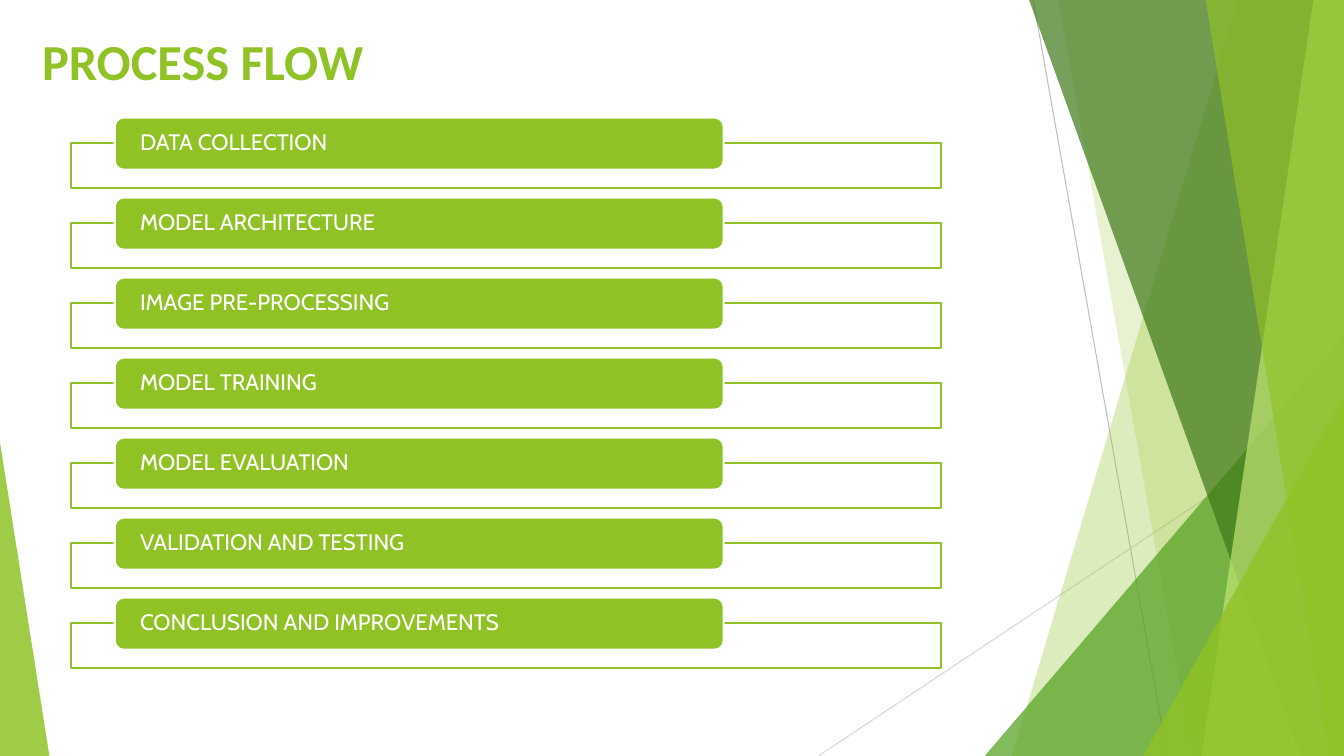
import pptx
import pptx.util
import pptx.dml.color
import pptx.enum.shapes
import pptx.enum.text
import pptx.oxml
import pptx.oxml.ns
from lxml import etree

Pt = pptx.util.Pt
Shape = pptx.enum.shapes.MSO_SHAPE
Anchor = pptx.enum.text.MSO_ANCHOR

THEME = {
    "lime": "90C226",
    "green": "54A021",
    "forest": "3F7819",
    "pale": "C0E474",
    "white": "FFFFFF",
    "grey": "BFBFBF",
    "light_grey": "D9D9D9",
    "title_font": "Calibri",
    "step_font": "Cabin",
    "title_size": 36,
    "step_size": 16,
}
WIDTH, HEIGHT = 960, 540


def paint(shape, fill, opacity=100, line=None):
    shape.shadow.inherit = False
    shape.fill.solid()
    shape.fill.fore_color.rgb = pptx.dml.color.RGBColor.from_string(THEME[fill])
    if opacity < 100:
        colour = shape.fill._xPr.find(".//" + pptx.oxml.ns.qn("a:srgbClr"))
        alpha = etree.SubElement(colour, pptx.oxml.ns.qn("a:alpha"))
        alpha.set("val", str(opacity * 1000))
    if line:
        shape.line.color.rgb = pptx.dml.color.RGBColor.from_string(THEME[line])
        shape.line.width = Pt(1.5)
    else:
        shape.line.fill.background()


def write(frame, text, kind, colour, bold=False):
    frame.word_wrap = True
    para = frame.paragraphs[0]
    para.alignment = pptx.enum.text.PP_ALIGN.LEFT
    span = para.add_run()
    span.text = text
    span.font.name = THEME[kind + "_font"]
    span.font.size = Pt(THEME[kind + "_size"])
    span.font.bold = bold
    span.font.color.rgb = pptx.dml.color.RGBColor.from_string(THEME[colour])
    return para


deck = pptx.Presentation()
deck.slide_width, deck.slide_height = Pt(WIDTH), Pt(HEIGHT)
page = deck.slides.add_slide(deck.slide_layouts[6])

hairlines = [
    (738, 0, 833.8, HEIGHT, "grey"),
    (WIDTH, 290.2, 584.6, HEIGHT, "light_grey"),
]
for x1, y1, x2, y2, colour in hairlines:
    hairline = page.shapes.add_connector(
        pptx.enum.shapes.MSO_CONNECTOR.STRAIGHT, Pt(x1), Pt(y1), Pt(x2), Pt(y2))
    hairline.line.color.rgb = pptx.dml.color.RGBColor.from_string(THEME[colour])
    hairline.line.width = Pt(0.75)
    etree.SubElement(hairline._element.spPr, pptx.oxml.ns.qn("a:effectLst"))

# wedge: top x, bottom x; triangle: left, top, width, apex
facets = [
    ("wedge", (884.2, 722.9), "lime", 30),
    ("wedge", (756, 851.8), "lime", 20),
    ("triangle", (703.4, 239.8, 256.6, 1), "green", 72),
    ("wedge", (735.1, 929.5), "forest", 70),
    ("wedge", (938.2, 858.2), "pale", 70),
    ("wedge", (861.1, 949), "lime", 65),
    ("triangle", (816.5, 283, 143.5, 1), "lime", 80),
    ("triangle", (0, 316.1, 35.3, 0), "lime", 85),
]
for kind, geometry, colour, opacity in facets:
    if kind == "wedge":
        top_x, bottom_x = geometry
        outline = page.shapes.build_freeform(Pt(top_x), Pt(0))
        corners = [(WIDTH, 0), (WIDTH, HEIGHT), (bottom_x, HEIGHT)]
        outline.add_line_segments([(Pt(x), Pt(y)) for x, y in corners], close=True)
        facet = outline.convert_to_shape()
    else:
        left, top, width, apex = geometry
        facet = page.shapes.add_shape(
            Shape.ISOSCELES_TRIANGLE, Pt(left), Pt(top), Pt(width), Pt(HEIGHT - top))
        facet.adjustments[0] = apex
    paint(facet, colour, opacity)

title = page.shapes.add_textbox(Pt(23), Pt(18), Pt(676.8), Pt(92.9))
write(title.text_frame, "PROCESS FLOW", "title", "lime", bold=True)

steps = [
    "DATA COLLECTION",
    "MODEL ARCHITECTURE",
    "IMAGE PRE-PROCESSING",
    "MODEL TRAINING",
    "MODEL EVALUATION",
    "VALIDATION AND TESTING",
    "CONCLUSION AND IMPROVEMENTS",
]
STEP_TOP, STEP_PITCH = 84, 57.15
for index, step in enumerate(steps):
    top = STEP_TOP + index * STEP_PITCH
    box = page.shapes.add_shape(Shape.RECTANGLE, Pt(50.4), Pt(top + 18.4), Pt(621.5), Pt(31.7))
    paint(box, "white", 90, "lime")
    label = page.shapes.add_shape(
        Shape.ROUNDED_RECTANGLE, Pt(82), Pt(top), Pt(434.9), Pt(37.2))
    paint(label, "lime", line="white")
    frame = label.text_frame
    frame.margin_left = frame.margin_right = Pt(16.2)
    frame.margin_top = frame.margin_bottom = Pt(0)
    frame.vertical_anchor = Anchor.MIDDLE
    para = write(frame, step, "step", "white")
    para.line_spacing = 0.9

deck.save("out.pptx")
